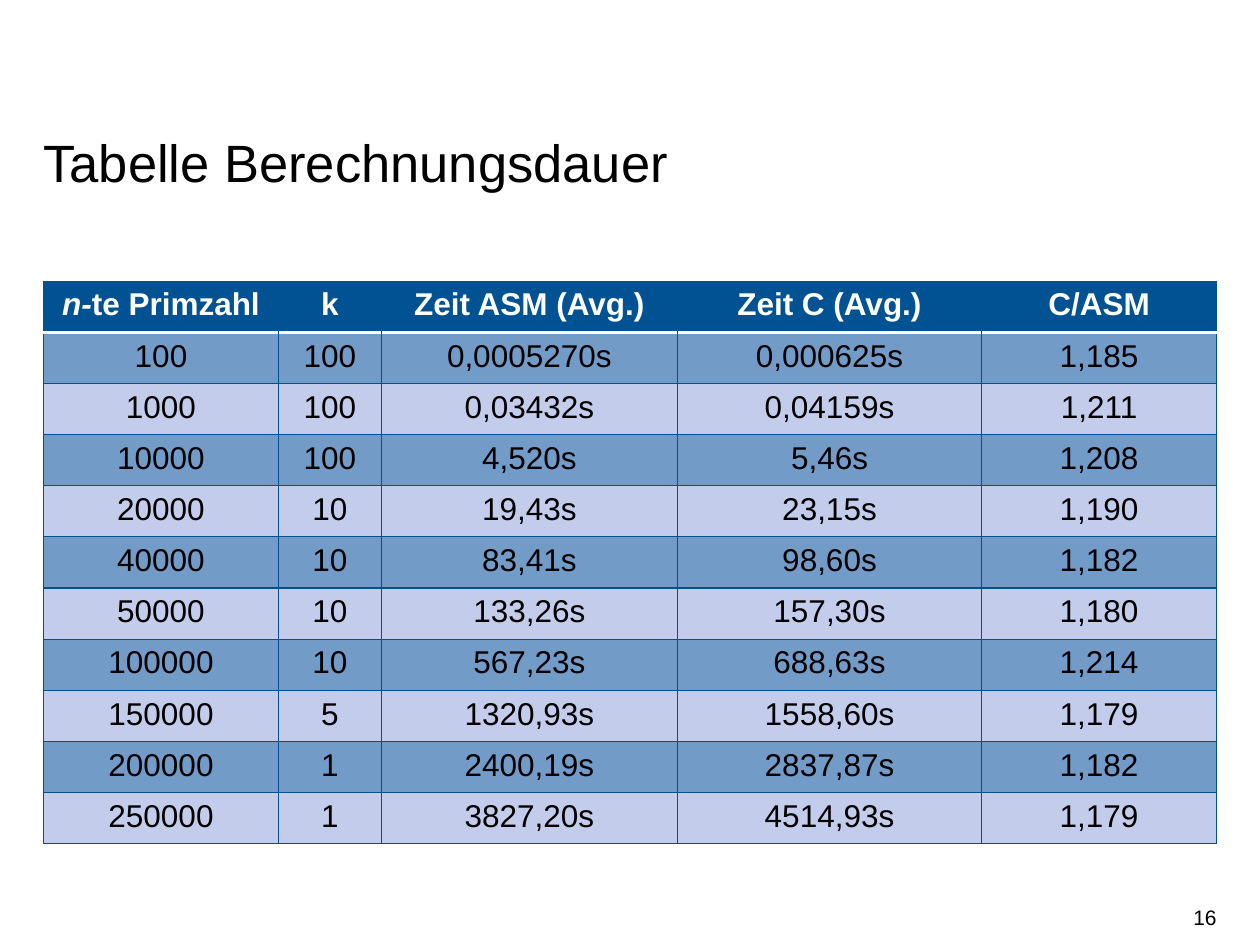
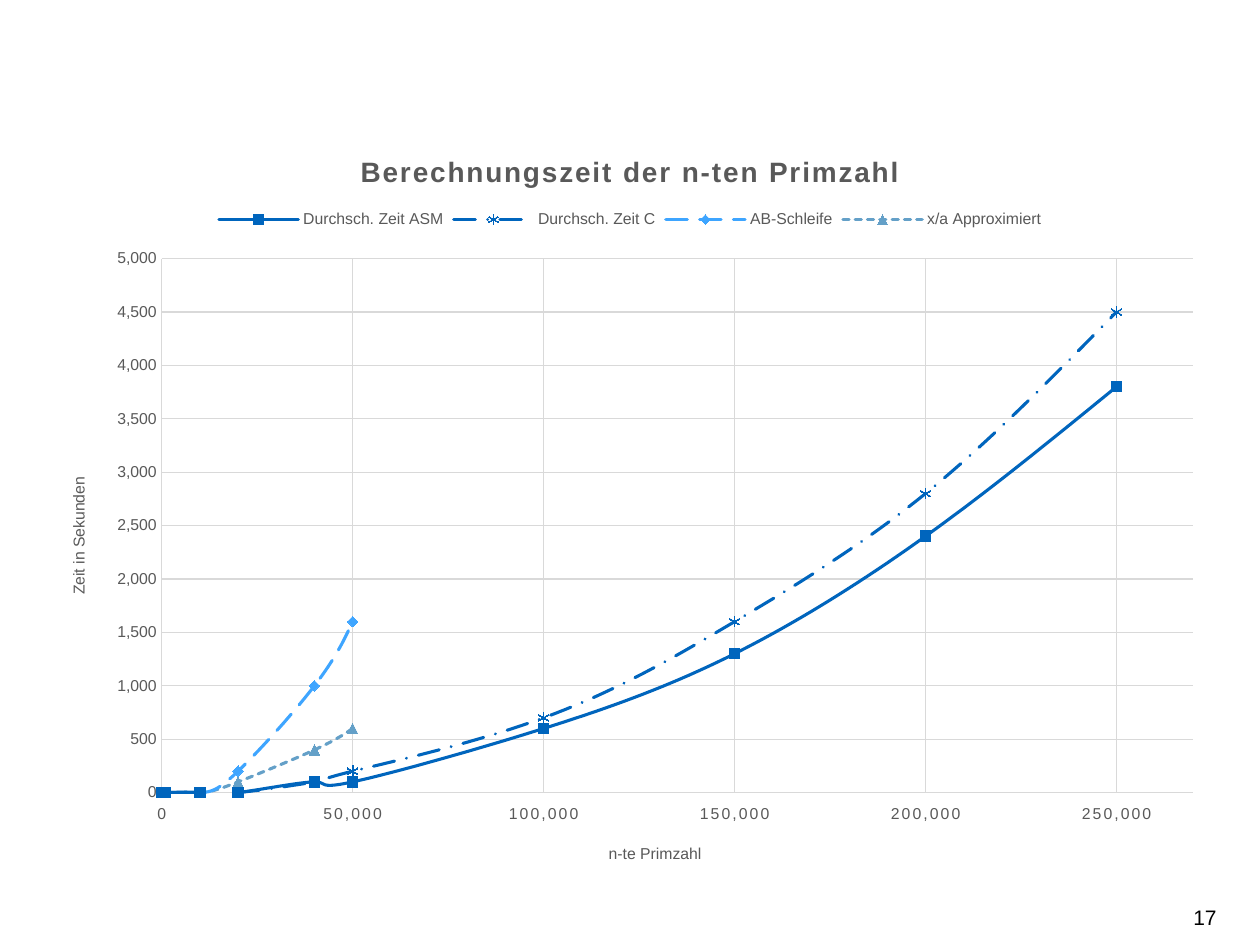
import pptx
import pptx.chart.data
import pptx.dml.color
import pptx.enum.chart
import pptx.enum.dml
import pptx.enum.text
import pptx.oxml
import pptx.oxml.ns
import pptx.util

Pt = pptx.util.Pt
qn = pptx.oxml.ns.qn
ALIGN = pptx.enum.text.PP_ALIGN
ANCHOR = pptx.enum.text.MSO_ANCHOR
DASH = pptx.enum.dml.MSO_LINE
MARKER = pptx.enum.chart.XL_MARKER_STYLE
LABELS = pptx.enum.chart.XL_TICK_LABEL_POSITION

COLORS = {
    "text": "000000", "white": "FFFFFF", "header": "005293", "border": "005090",
    "dark_row": "739BC8", "light_row": "C3CDEB", "label": "595959", "grid": "D9D9D9",
    "blue": "0065BD", "bright": "3EA5FF", "steel": "64A0C8", "pale": "98C6EA",
}
FONT = "Arial"
LEFT, WIDTH = 24.9, 670.3

TITLE = "Tabelle Berechnungsdauer"
HEADER = ["n-te Primzahl", "k", "Zeit ASM (Avg.)", "Zeit C (Avg.)", "C/ASM"]
TIMES = [
    ("100", "100", "0,0005270s", "0,000625s", "1,185"),
    ("1000", "100", "0,03432s", "0,04159s", "1,211"),
    ("10000", "100", "4,520s", "5,46s", "1,208"),
    ("20000", "10", "19,43s", "23,15s", "1,190"),
    ("40000", "10", "83,41s", "98,60s", "1,182"),
    ("50000", "10", "133,26s", "157,30s", "1,180"),
    ("100000", "10", "567,23s", "688,63s", "1,214"),
    ("150000", "5", "1320,93s", "1558,60s", "1,179"),
    ("200000", "1", "2400,19s", "2837,87s", "1,182"),
    ("250000", "1", "3827,20s", "4514,93s", "1,179"),
]
COLUMN_WIDTHS = [134.2, 58.8, 169.2, 173.9, 134.2]
ROW_HEIGHT = 29.25

CHART_TITLE = "Berechnungszeit der n-ten Primzahl"
CHART_TOP, CHART_HEIGHT = 72.7, 435.6
PRIMES = [0, 1000, 10000, 20000, 40000, 50000, 100000, 150000, 200000, 250000]
SERIES = [
    ("Durchsch. Zeit ASM", [0, 0, 0, 0, 100, 100, 600, 1300, 2400, 3800],
     "blue", DASH.SOLID, MARKER.SQUARE, "blue"),
    ("Durchsch. Zeit C", [0, 0, 0, 0, 100, 200, 700, 1600, 2800, 4500],
     "blue", DASH.LONG_DASH_DOT, MARKER.STAR, None),
    ("AB-Schleife", [0, 0, 0, 200, 1000, 1600],
     "bright", DASH.LONG_DASH, MARKER.DIAMOND, "bright"),
    ("x/a Approximiert", [0, 0, 0, 100, 400, 600],
     "steel", DASH.SQUARE_DOT, MARKER.TRIANGLE, "pale"),
]
X_AXIS = {"minimum_scale": 0, "maximum_scale": 270000, "major_unit": 50000,
          "tick_label_position": LABELS.LOW}
Y_AXIS = {"minimum_scale": 0, "maximum_scale": 5000, "major_unit": 500}
PLAIN_AXIS = {"has_major_gridlines": True,
              "major_tick_mark": pptx.enum.chart.XL_TICK_MARK.NONE,
              "minor_tick_mark": pptx.enum.chart.XL_TICK_MARK.NONE}


def assign(target, values):
    for name, value in values.items():
        setattr(target, name, value)


def rgb(name):
    return pptx.dml.color.RGBColor.from_string(COLORS[name])


def style_font(font, size, color, bold=False, spacing=None, italic=False):
    assign(font, {"name": FONT, "size": Pt(size), "bold": bold, "italic": italic})
    font.color.rgb = rgb(color)
    if spacing:
        font._element.set("spc", str(spacing))


def style_line(line, color, width):
    line.color.rgb = rgb(color)
    line.width = Pt(width)


def add_text(page, text, place, size, frame_format, para_format):
    frame = page.shapes.add_textbox(*map(Pt, place)).text_frame
    assign(frame, {"word_wrap": True, "margin_left": 0, "margin_right": 0, **frame_format})
    para = frame.paragraphs[0]
    assign(para, para_format)
    span = para.add_run()
    span.text = text
    style_font(span.font, size, "text")


def add_page(deck, number):
    page = deck.slides.add_slide(deck.slide_layouts[6])
    add_text(page, str(number), (533.2, 509.8, 162, 28.8), 12,
             {"vertical_anchor": ANCHOR.MIDDLE}, {"alignment": ALIGN.RIGHT})
    return page


def set_borders(cell, sides):
    properties = cell._tc.get_or_add_tcPr()
    for index, (side, (color, width)) in enumerate(sides.items()):
        paint = (f'<a:solidFill><a:srgbClr val="{COLORS[color]}"/></a:solidFill>'
                 if color else "<a:noFill/>")
        properties.insert(index, pptx.oxml.parse_xml(
            f'<a:ln{side} {pptx.oxml.ns.nsdecls("a")} w="{Pt(width)}">{paint}</a:ln{side}>'))


def add_times_table(page):
    rows = [HEADER, *TIMES]
    table = page.shapes.add_table(
        len(rows), len(HEADER), Pt(LEFT), Pt(160.6), Pt(WIDTH), Pt(ROW_HEIGHT * len(rows))).table
    for column, width in zip(table.columns, COLUMN_WIDTHS):
        column.width = Pt(width)
    thin, rule, empty = ("border", 0.75), ("white", 2), (None, 0.75)
    last = len(HEADER) - 1
    for r, row in enumerate(rows):
        table.rows[r].height = Pt(ROW_HEIGHT)
        is_header = r == 0
        fill = "header" if is_header else ("light_row", "dark_row")[r % 2]
        for c, text in enumerate(row):
            cell = table.cell(r, c)
            cell.fill.solid()
            cell.fill.fore_color.rgb = rgb(fill)
            set_borders(cell, {
                "L": empty if is_header and c > 0 else thin,
                "R": empty if is_header and c < last else thin,
                "T": rule if r == 1 else thin,
                "B": rule if is_header else thin,
            })
            para = cell.text_frame.paragraphs[0]
            para.alignment = ALIGN.CENTER
            pieces = [("n-", True), (text[2:], False)] if text.startswith("n-") else [(text, False)]
            for piece, italic in pieces:
                span = para.add_run()
                span.text = piece
                style_font(span.font, 18, "white" if is_header else "text", is_header, italic=italic)


def place_part(element, index, **points):
    for old in element.findall(qn("c:layout")):
        element.remove(old)
    extents = {"x": WIDTH, "y": CHART_HEIGHT, "w": WIDTH, "h": CHART_HEIGHT}
    target = '<c:layoutTarget val="inner"/>' if "w" in points else ""
    modes = "".join(f'<c:{key}Mode val="edge"/>' for key in ("x", "y"))
    values = "".join(f'<c:{key} val="{value / extents[key]}"/>' for key, value in points.items())
    element.insert(index, pptx.oxml.parse_xml(
        f'<c:layout {pptx.oxml.ns.nsdecls("c")}><c:manualLayout>{target}{modes}{values}'
        '</c:manualLayout></c:layout>'))


def set_title(title, text, size, bold, spacing, x, y):
    span = title.text_frame.paragraphs[0].add_run()
    span.text = text
    style_font(span.font, size, "label", bold, spacing)
    place_part(title._element, 1, x=x, y=y)


def style_axis(axis, scale, title, spacing, x, y):
    assign(axis, {**PLAIN_AXIS, **scale})
    assign(axis.tick_labels, {"number_format": "#,##0", "number_format_is_linked": False})
    style_font(axis.tick_labels.font, 9, "label", spacing=spacing)
    style_line(axis.format.line, "grid", 0.75)
    style_line(axis.major_gridlines.format.line, "grid", 0.75)
    set_title(axis.axis_title, title, 9, False, None, x, y)


def add_times_chart(page):
    data = pptx.chart.data.XyChartData()
    for name, values, *_ in SERIES:
        series = data.add_series(name)
        for prime, value in zip(PRIMES, values):
            series.add_data_point(prime, value)
    chart = page.shapes.add_chart(
        pptx.enum.chart.XL_CHART_TYPE.XY_SCATTER_SMOOTH,
        Pt(LEFT), Pt(CHART_TOP), Pt(WIDTH), Pt(CHART_HEIGHT), data).chart
    style_font(chart.font, 10, "text")
    assign(chart, {"has_title": True, "has_legend": True})
    set_title(chart.chart_title, CHART_TITLE, 16, True, 120, 178.3, 12.3)
    assign(chart.legend, {"position": pptx.enum.chart.XL_LEGEND_POSITION.TOP,
                          "include_in_layout": False})
    style_font(chart.legend.font, 9, "label")
    style_axis(chart.category_axis, X_AXIS, "n-te Primzahl", 120, 321.3, 407.8)
    style_axis(chart.value_axis, Y_AXIS, "Zeit in Sekunden", None, 12.6, 198.1)
    place_part(chart._chartSpace.find(".//" + qn("c:plotArea")), 0,
               x=67.5, y=75.1, w=589.3, h=305.2)

    plot = chart.plots[0]
    plot.vary_by_categories = False
    for series, (_, _, color, dash, shape, fill) in zip(plot.series, SERIES):
        style_line(series.format.line, color, 1.75)
        series.format.line.dash_style = dash
        series._element.find(qn("c:spPr")).find(qn("a:ln")).set("cap", "rnd")
        assign(series.marker, {"style": shape, "size": 6})
        look = series.marker.format
        style_line(look.line, color, 0.75)
        if fill:
            look.fill.solid()
            look.fill.fore_color.rgb = rgb(fill)
        else:
            look.fill.background()
    for smooth in chart._chartSpace.iter(qn("c:smooth")):
        smooth.set("val", "1")


deck = pptx.Presentation()
assign(deck, {"slide_width": Pt(720), "slide_height": Pt(540)})

table_page = add_page(deck, 16)
add_text(table_page, TITLE, (LEFT, 78.5, WIDTH, 32.4), 30,
         {"margin_top": 0, "margin_bottom": 0,
          "auto_size": pptx.enum.text.MSO_AUTO_SIZE.SHAPE_TO_FIT_TEXT},
         {"line_spacing": Pt(32)})
add_times_table(table_page)

chart_page = add_page(deck, 17)
add_times_chart(chart_page)

deck.save("out.pptx")
